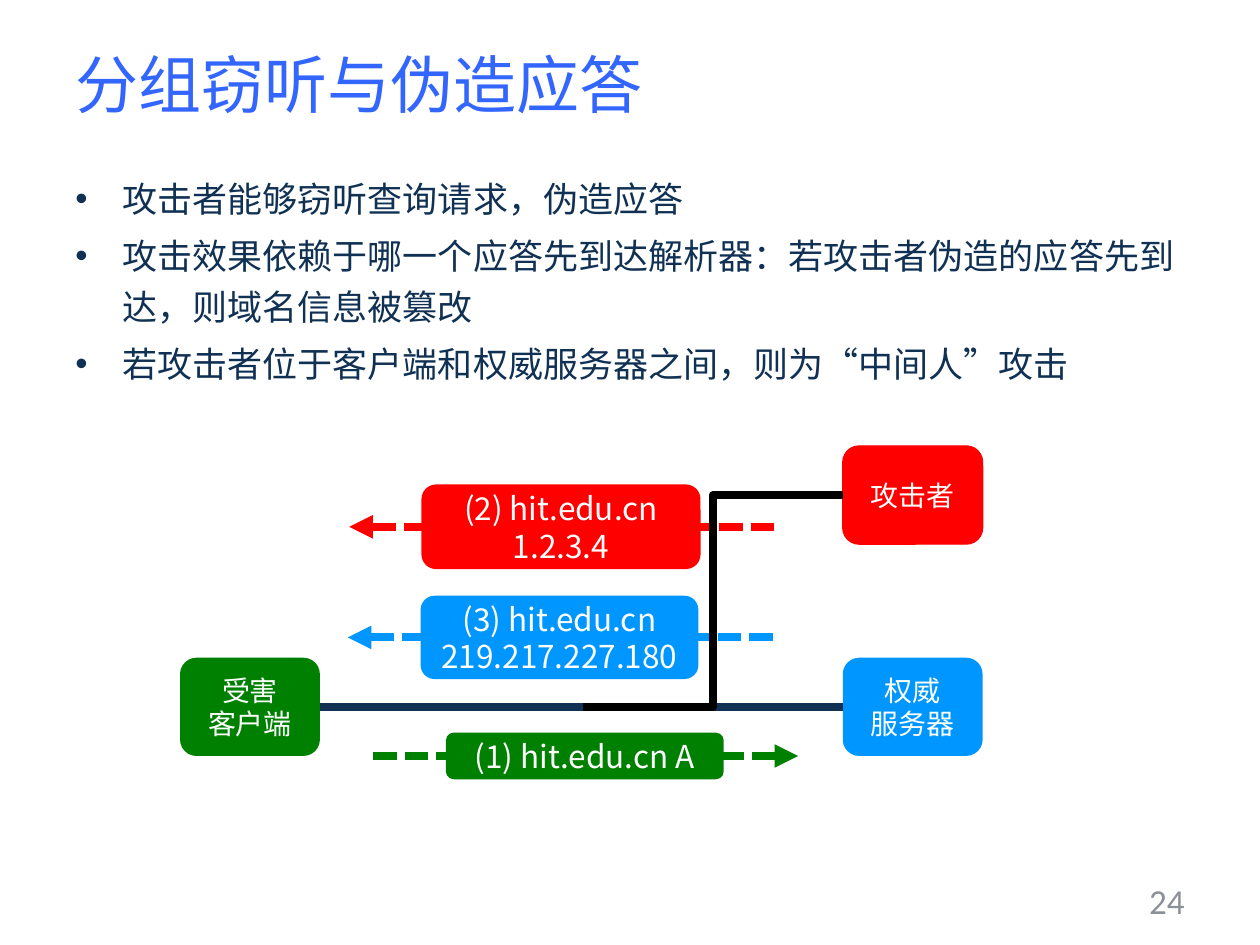
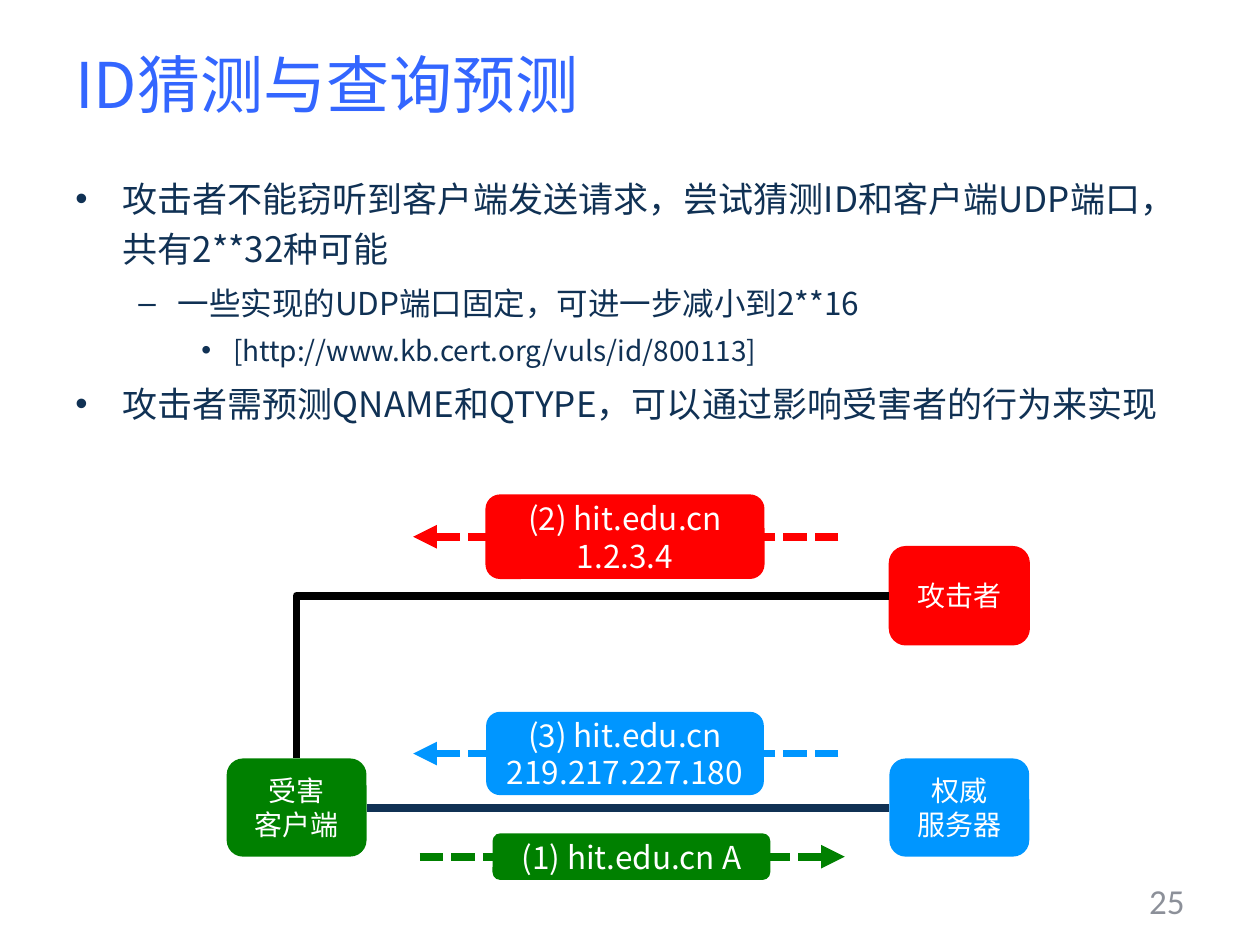
from lxml import etree
from pptx import Presentation
from pptx import util as u
from pptx.dml.color import RGBColor
from pptx.enum import dml, shapes, text
from pptx.oxml.ns import qn

TITLE_BLUE = RGBColor(0x33, 0x66, 0xFF)
NAVY = RGBColor(0x10, 0x31, 0x54)
GRAY = RGBColor(0x8C, 0x90, 0x99)
GREEN = RGBColor(0x00, 0x80, 0x00)
BLUE = RGBColor(0x00, 0x96, 0xFF)
RED = RGBColor(0xFF, 0x00, 0x00)
BLACK = RGBColor(0x00, 0x00, 0x00)
WHITE = RGBColor(0xFF, 0xFF, 0xFF)

CJK_FONT = "Noto Sans CJK SC"
NUMBER_FONT = "Calibri"

HOST_W, HOST_H = 2.82, 1.98
SERVER_DX, ATTACKER_DY = 13.36, 4.27
ARROW_LENGTH = 8.57
MESSAGE_INSET, MESSAGE_W = 1.47, 5.6
MESSAGE_HEIGHTS = {1: 0.94, 2: 1.68}

LEVELS = [
    (20, "•", 0.95, 0.95),
    (18, "–", 2.06, 0.79),
    (16, "•", 3.18, 0.64),
]

QUERY = ["(1) hit.edu.cn A"]
FORGED = ["(2) hit.edu.cn", "1.2.3.4"]
GENUINE = ["(3) hit.edu.cn", "219.217.227.180"]


def add_run(p, content, size, color, font=CJK_FONT):
    r = p.add_run()
    r.text = content
    r.font.size = u.Pt(size)
    r.font.color.rgb = color
    r.font.name = font
    ea = etree.SubElement(r.font._element, qn("a:ea"))
    ea.set("typeface", font)


def add_text_frame(slide, left, top, width, height, anchor):
    sp = slide.shapes.add_textbox(u.Cm(left), u.Cm(top), u.Cm(width), u.Cm(height))
    tf = sp.text_frame
    tf.word_wrap = True
    tf.vertical_anchor = anchor
    return tf


def add_frame(slide, title, number):
    tf = add_text_frame(slide, 1.27, 0.1, 22.86, 3.18, text.MSO_ANCHOR.MIDDLE)
    add_run(tf.paragraphs[0], title, 36, TITLE_BLUE)
    tf = add_text_frame(slide, 18.2, 17.65, 5.93, 1.01, text.MSO_ANCHOR.MIDDLE)
    p = tf.paragraphs[0]
    p.alignment = text.PP_ALIGN.RIGHT
    add_run(p, number, 20, GRAY, NUMBER_FONT)


def add_bullets(slide, items, height):
    tf = add_text_frame(slide, 1.27, 3.28, 22.86, height, text.MSO_ANCHOR.TOP)
    for i, (level, content) in enumerate(items):
        size, mark, margin, hanging = LEVELS[level]
        p = tf.add_paragraph() if i else tf.paragraphs[0]
        p.level = level
        p.line_spacing = 1.2
        p.space_before = u.Pt(size * 0.2)
        pPr = p._p.get_or_add_pPr()
        pPr.set("marL", str(u.Cm(margin)))
        pPr.set("indent", str(-u.Cm(hanging)))
        etree.SubElement(pPr, qn("a:buFont")).set("typeface", "Arial")
        etree.SubElement(pPr, qn("a:buChar")).set("char", mark)
        add_run(p, content, size, NAVY)


def add_box(owner, lines, left, top, width, height, color, size):
    sp = owner.add_shape(shapes.MSO_SHAPE.ROUNDED_RECTANGLE,
                         u.Cm(left), u.Cm(top), u.Cm(width), u.Cm(height))
    sp.shadow.inherit = False
    sp.fill.solid()
    sp.fill.fore_color.rgb = color
    if color == RED:
        sp.line.color.rgb = color
        sp.line.width = u.Pt(0.75)
    else:
        sp.line.fill.background()
    tf = sp.text_frame
    tf.word_wrap = True
    tf.margin_left = tf.margin_right = u.Cm(0.1)
    tf.margin_top = tf.margin_bottom = 0
    tf.vertical_anchor = text.MSO_ANCHOR.MIDDLE
    for i, line in enumerate(lines):
        p = tf.add_paragraph() if i else tf.paragraphs[0]
        p.alignment = text.PP_ALIGN.CENTER
        add_run(p, line, size, WHITE)
    return sp


def add_line(owner, kind, x1, y1, x2, y2, color):
    line = owner.add_connector(kind, u.Cm(x1), u.Cm(y1), u.Cm(x2), u.Cm(y2))
    line.line.color.rgb = color
    line.line.width = u.Pt(4.5)
    etree.SubElement(line._element.spPr, qn("a:effectLst"))
    return line


def add_message(slide, lines, left, y, color, to_right=False):
    group = slide.shapes.add_group_shape().shapes
    start, end = left + ARROW_LENGTH, left
    if to_right:
        start, end = end, start
    arrow = add_line(group, shapes.MSO_CONNECTOR.STRAIGHT, start, y, end, y, color)
    arrow.line.dash_style = dml.MSO_LINE.SQUARE_DOT
    ln = arrow.line._get_or_add_ln()
    etree.SubElement(ln, qn("a:tailEnd")).set("type", "triangle")
    height = MESSAGE_HEIGHTS[len(lines)]
    add_box(group, lines, left + MESSAGE_INSET, y - height / 2,
            MESSAGE_W, height, color, 18)


def add_hosts(slide, left, top):
    def host(lines, x, y, color):
        return add_box(slide.shapes, lines, x, y, HOST_W, HOST_H, color, 16)

    server_x = left + SERVER_DX
    victim = host(["受害", "客户端"], left, top, GREEN)
    attacker = host(["攻击者"], server_x, top - ATTACKER_DY, RED)
    server = host(["权威", "服务器"], server_x, top, BLUE)
    y = top + HOST_H / 2
    link = add_line(slide.shapes, shapes.MSO_CONNECTOR.STRAIGHT,
                    server_x, y, left + HOST_W, y, NAVY)
    link.begin_connect(server, 1)
    link.end_connect(victim, 3)
    return victim, attacker


def add_eavesdropping_slide(slide):
    add_frame(slide, "分组窃听与伪造应答", "24")
    add_bullets(slide, [
        (0, "攻击者能够窃听查询请求，伪造应答"),
        (0, "攻击效果依赖于哪一个应答先到达解析器：若攻击者伪造的应答先到达，则域名信息被篡改"),
        (0, "若攻击者位于客户端和权威服务器之间，则为“中间人”攻击"),
    ], 1.83)
    add_message(slide, QUERY, 7.52, 15.24, GREEN, to_right=True)
    add_message(slide, GENUINE, 7.01, 12.85, BLUE)
    add_message(slide, FORGED, 7.04, 10.62, RED)
    victim, attacker = add_hosts(slide, 3.63, 13.26)
    tap = add_line(slide.shapes, shapes.MSO_CONNECTOR.ELBOW,
                   11.75, 14.25, 16.99, 9.98, BLACK)
    tap.end_connect(attacker, 1)


def add_guessing_slide(slide):
    add_frame(slide, "ID猜测与查询预测", "25")
    add_bullets(slide, [
        (0, "攻击者不能窃听到客户端发送请求，尝试猜测ID和客户端UDP端口，共有2**32种可能"),
        (1, "一些实现的UDP端口固定，可进一步减小到2**16"),
        (2, "[http://www.kb.cert.org/vuls/id/800113]"),
        (0, "攻击者需预测QNAME和QTYPE，可以通过影响受害者的行为来实现"),
    ], 5.84)
    add_message(slide, QUERY, 8.46, 17.27, GREEN, to_right=True)
    add_message(slide, GENUINE, 8.33, 15.19, BLUE)
    add_message(slide, FORGED, 8.33, 10.82, RED)
    victim, attacker = add_hosts(slide, 4.57, 15.29)
    path_to_victim = add_line(slide.shapes, shapes.MSO_CONNECTOR.ELBOW,
                              17.93, 12.01, 5.98, 15.29, BLACK)
    path_to_victim._element.spPr.find(qn("a:prstGeom")).set("prst", "bentConnector2")
    path_to_victim.begin_connect(attacker, 1)
    path_to_victim.end_connect(victim, 0)


def main():
    prs = Presentation()
    prs.slide_width, prs.slide_height = u.Cm(25.4), u.Cm(19.05)
    for build in (add_eavesdropping_slide, add_guessing_slide):
        build(prs.slides.add_slide(prs.slide_layouts[6]))
    prs.save("out.pptx")


if __name__ == "__main__":
    main()
